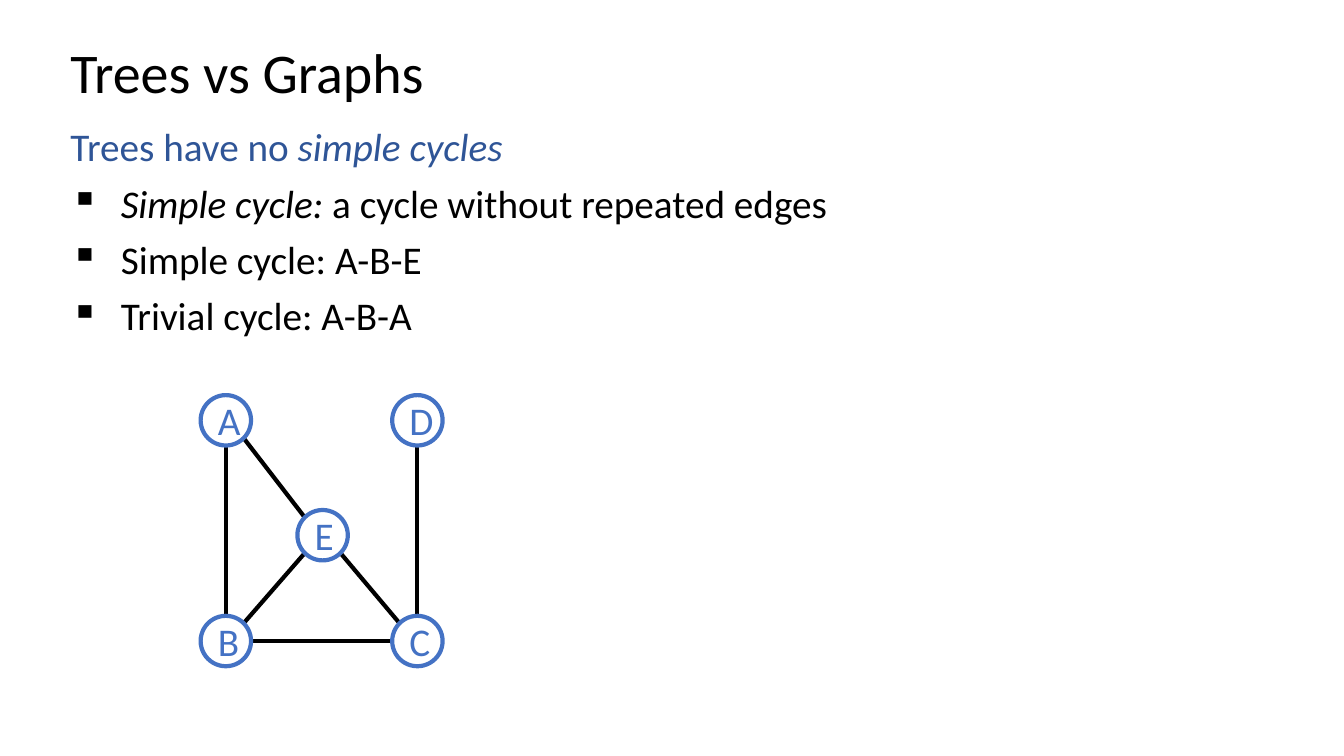
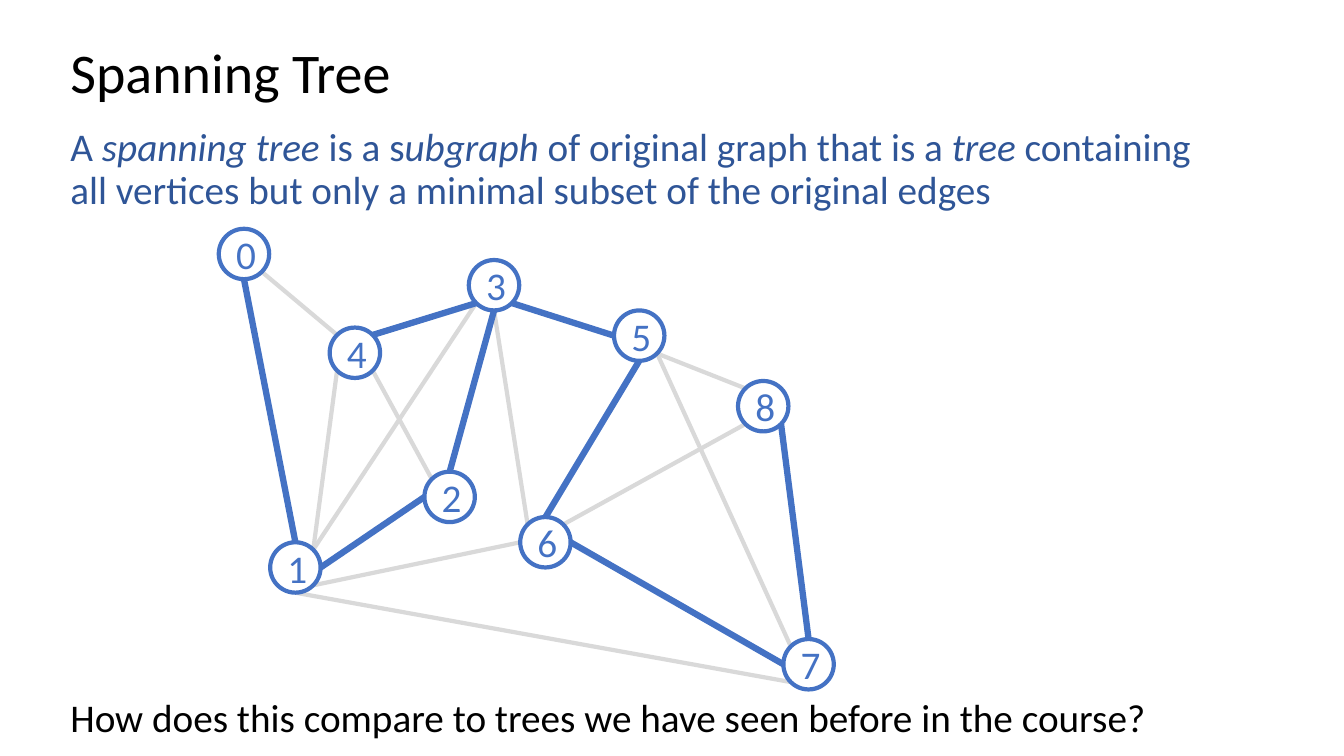
from math import hypot
from lxml.etree import SubElement
from pptx import Presentation
from pptx.dml.color import RGBColor
from pptx.enum.shapes import MSO_CONNECTOR, MSO_SHAPE
from pptx.enum.text import MSO_ANCHOR, PP_ALIGN
from pptx.oxml.ns import qn
from pptx.util import Inches, Pt

# Shared style
COLORS = {"text": "000000", "lead": "2F5597", "node": "4472C4",
          "faded": "D9D9D9", "paper": "FFFFFF"}
FONT = "Calibri"
TITLE_SIZE, TEXT_SIZE = 40, 28
LEFT, WIDTH = 0.6, 11.5
TITLE_BOX = (LEFT, 0.4, WIDTH, 0.69)
BODY_BOX = (LEFT, 1.22, WIDTH, 2.23)
CLOSING_BOX = (LEFT, 6.88, WIDTH, 0.56)
DIAMETER = 0.5
COMPASS = {"N": (0, -1), "S": (0, 1), "W": (-1, 0), "E": (1, 0),
           "NW": (-1, -1), "NE": (1, -1), "SW": (-1, 1), "SE": (1, 1)}

# Content: asterisks enclose italics; nodes are centres;
# an edge is (node, side, node, side)
SLIDES = [
    {
        "title": "Trees vs Graphs",
        "lead": "Trees have no *simple cycles*",
        "bullets": ["*Simple cycle: *a cycle without repeated edges",
                    "Simple cycle: A-B-E",
                    "Trivial cycle: A-B-A"],
        "nodes": {"A": (2.24, 4.17), "D": (4.14, 4.17), "E": (3.2, 5.31),
                  "B": (2.24, 6.36), "C": (4.14, 6.36)},
        "edge color": "text",
        "edges": ["A SE E NW", "A S B N", "B NE E SW",
                  "C NW E SE", "B E C W", "D S C N"],
    },
    {
        "title": "Spanning Tree",
        "lead": "A *spanning tree *is a s*ubgraph* of original graph that is a "
                "*tree* containing all vertices but only a minimal subset of "
                "the original edges",
        "nodes": {"0": (2.42, 2.52), "3": (4.9, 2.83), "4": (3.52, 3.5),
                  "1": (2.93, 5.63), "2": (4.46, 4.93), "5": (6.34, 3.33),
                  "8": (7.57, 4.03), "6": (5.41, 5.38), "7": (8.02, 6.59)},
        "edge color": "faded",
        "edges": ["0 SE 4 NW", "1 NE 4 SW", "2 NW 4 SE", "5 SE 8 NW",
                  "3 S 6 NW", "6 NE 8 SW", "5 SE 7 NW", "6 W 1 SE",
                  "7 SW 1 S", "3 SW 1 NE"],
        "tree edges": ["0 S 1 N", "1 E 2 W", "3 S 2 N", "7 N 8 SE",
                       "6 E 7 W", "3 SE 5 W", "5 S 6 N", "3 SW 4 NE"],
        "closing": "How does this compare to trees we have seen before in the course?",
    },
]


def write(paragraph, text, size=TEXT_SIZE, color="text", align=PP_ALIGN.LEFT,
          spacing=0.9, before=0, bullet=None):
    paragraph.alignment = align
    paragraph.line_spacing = spacing
    paragraph.space_before = Pt(before)
    if bullet:
        properties = paragraph._p.get_or_add_pPr()
        properties.set("marL", str(Inches(0.5)))
        properties.set("indent", str(-Inches(0.5)))
        SubElement(properties, qn("a:buChar")).set("char", bullet)
    paragraph.font.size = Pt(size)
    for index, part in enumerate(text.split("*")):
        if part:
            span = paragraph.add_run()
            span.text = part
            span.font.name = FONT
            span.font.size = Pt(size)
            span.font.italic = index % 2 == 1
            span.font.color.rgb = RGBColor.from_string(COLORS[color])


def add_box(page, place, anchor=MSO_ANCHOR.TOP):
    frame = page.shapes.add_textbox(*map(Inches, place)).text_frame
    frame.word_wrap = True
    frame.vertical_anchor = anchor
    return frame


def side_point(center, side):
    across, down = COMPASS[side]
    reach = DIAMETER / 2 / hypot(across, down)
    return Inches(center[0] + across * reach), Inches(center[1] + down * reach)


def add_edges(page, nodes, edges, color, width):
    for edge in edges:
        start, start_side, end, end_side = edge.split()
        line = page.shapes.add_connector(
            MSO_CONNECTOR.STRAIGHT,
            *side_point(nodes[start], start_side),
            *side_point(nodes[end], end_side))
        line.line.color.rgb = RGBColor.from_string(COLORS[color])
        line.line.width = Pt(width)
        SubElement(line._element.spPr, qn("a:effectLst"))


def add_nodes(page, nodes):
    for label, (x, y) in nodes.items():
        circle = page.shapes.add_shape(
            MSO_SHAPE.OVAL, Inches(x - DIAMETER / 2), Inches(y - DIAMETER / 2),
            Inches(DIAMETER), Inches(DIAMETER))
        circle.shadow.inherit = False
        circle.fill.solid()
        circle.fill.fore_color.rgb = RGBColor.from_string(COLORS["paper"])
        circle.line.color.rgb = RGBColor.from_string(COLORS["node"])
        circle.line.width = Pt(3)
        circle.text_frame.vertical_anchor = MSO_ANCHOR.MIDDLE
        write(circle.text_frame.paragraphs[0], label, color="node",
              align=PP_ALIGN.CENTER, spacing=1.0)


def build_slide(deck, content):
    page = deck.slides.add_slide(deck.slide_layouts[6])
    # Heading and body text
    title = add_box(page, TITLE_BOX, MSO_ANCHOR.MIDDLE)
    write(title.paragraphs[0], content["title"], size=TITLE_SIZE)
    body = add_box(page, BODY_BOX)
    write(body.paragraphs[0], content["lead"], color="lead")
    for item in content.get("bullets", []):
        write(body.add_paragraph(), item, before=10, bullet="▪")
    # Graph: plain edges, nodes, then the tree on top
    nodes = content["nodes"]
    add_edges(page, nodes, content["edges"], content["edge color"], 3)
    add_nodes(page, nodes)
    add_edges(page, nodes, content.get("tree edges", []), "node", 4.5)
    # Closing question
    if "closing" in content:
        write(add_box(page, CLOSING_BOX).paragraphs[0], content["closing"])


def main():
    deck = Presentation()
    deck.slide_width, deck.slide_height = Inches(13.33), Inches(7.5)
    for content in SLIDES:
        build_slide(deck, content)
    deck.save("out.pptx")


if __name__ == "__main__":
    main()
